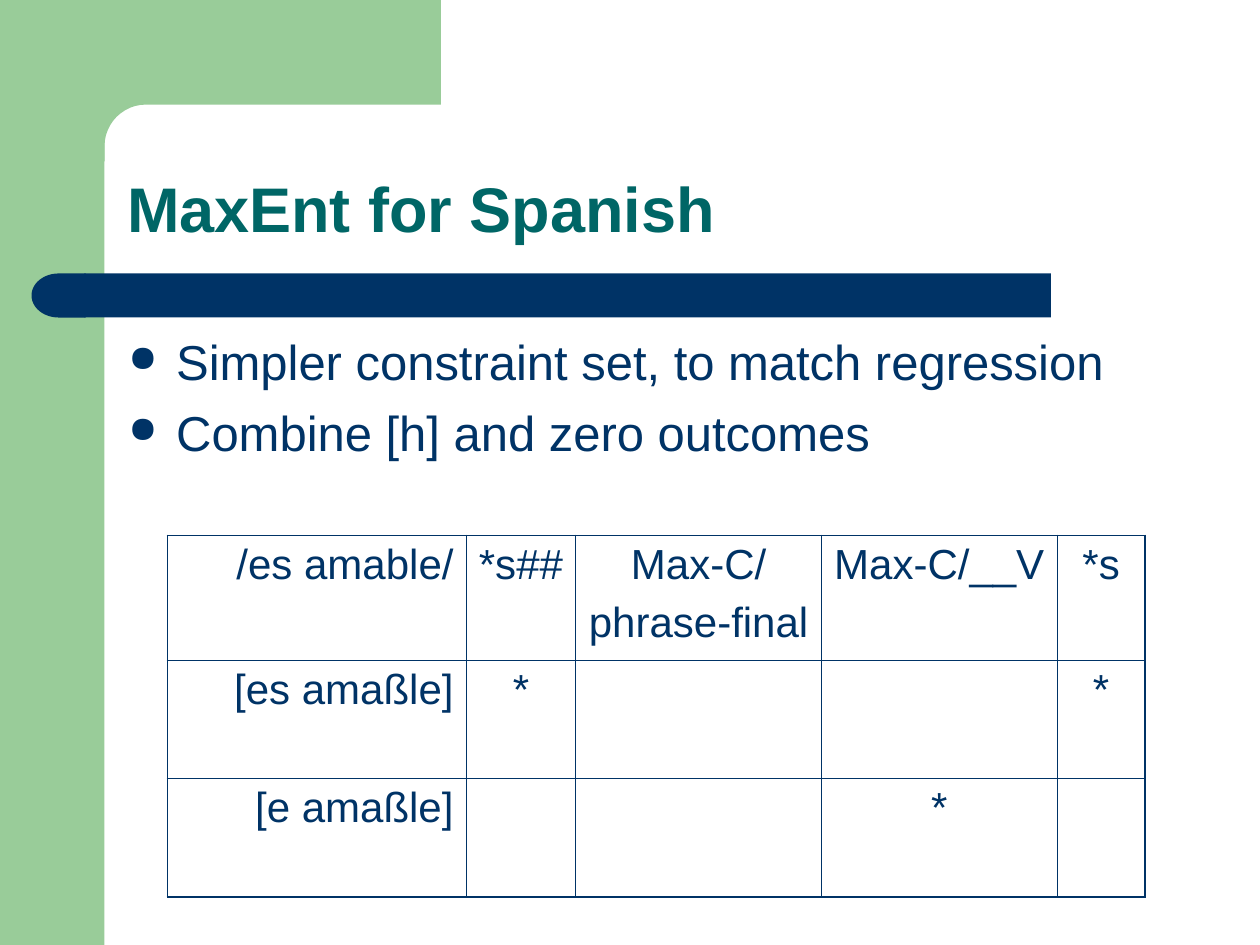
from math import cos, pi, sin

from lxml.etree import SubElement
from pptx import Presentation
from pptx.dml.color import RGBColor
from pptx.enum.shapes import MSO_SHAPE as Preset
from pptx.enum.text import MSO_ANCHOR as Anchor, PP_ALIGN as Align
from pptx.oxml.ns import qn
from pptx.util import Inches, Pt

COLORS = {"green": "99CC99", "navy": "003366", "teal": "006666"}
FONT = "Arial"
THIN, THICK = Pt(0.45), Pt(1.08)

BULLETS = ["Simpler constraint set, to match regression",
           "Combine [h] and zero outcomes"]
TABLEAU = [
    ["/es amable/", "*s##", "Max-C/\nphrase-final", "Max-C/__V", "*s"],
    ["[es amaßle]", "*", "", "", "*"],
    ["[e amaßle]", "", "", "*", ""],
]
COLUMN_WIDTHS = [2.37, 0.87, 1.95, 1.87, 0.7]
ROW_HEIGHTS = [0.99, 0.94, 0.94]


def paint(shape, color):
    shape.shadow.inherit = False
    shape.fill.solid()
    shape.fill.fore_color.rgb = RGBColor.from_string(COLORS[color])
    shape.line.fill.background()


def add_block(slide, preset, color, left, top, width, height):
    shape = slide.shapes.add_shape(
        preset, Inches(left), Inches(top), Inches(width), Inches(height))
    paint(shape, color)
    return shape


def style_font(paragraph, size, color, bold=False):
    font = paragraph.font
    font.name, font.size, font.bold = FONT, Pt(size), bold
    font.color.rgb = RGBColor.from_string(COLORS[color])


def add_text_frame(slide, left, top, width, height):
    box = slide.shapes.add_textbox(
        Inches(left), Inches(top), Inches(width), Inches(height))
    box.text_frame.word_wrap = True
    return box.text_frame


def add_corner(slide, left, top, width, height):
    """Green band along the top whose inner corner is rounded."""
    band, side, radius, steps = 0.83, 0.33, 0.33, 12
    center_x, center_y = left + side + radius, top + band + radius
    arc = [(center_x - radius * sin(step * pi / 2 / steps),
            center_y - radius * cos(step * pi / 2 / steps))
           for step in range(steps + 1)]
    outline = [(left + width, top), (left + width, top + band), *arc,
               (left + side, top + height), (left, top + height)]
    builder = slide.shapes.build_freeform(
        Inches(left), Inches(top), scale=1.0)
    builder.add_line_segments([(Inches(x), Inches(y)) for x, y in outline])
    paint(builder.convert_to_shape(), "green")


def add_divider(slide, left, top, width, height):
    """Navy bar with a rounded left end."""
    cap = 0.43
    add_block(slide, Preset.RECTANGLE, "navy",
              left + cap - 0.01, top, width - cap + 0.01, height)
    end = add_block(slide, Preset.FLOWCHART_DELAY, "navy",
                    left, top, cap, height)
    end.rotation = 180


def add_title(slide, left, top, width, height):
    frame = add_text_frame(slide, left, top, width, height)
    frame.vertical_anchor = Anchor.BOTTOM
    paragraph = frame.paragraphs[0]
    paragraph.text = "MaxEnt for Spanish"
    paragraph.line_spacing = 0.9
    style_font(paragraph, 36, "teal", bold=True)


def add_bullet(paragraph):
    properties = paragraph._p.get_or_add_pPr()
    properties.set("marL", str(Inches(0.38)))
    properties.set("indent", str(Inches(-0.38)))
    color = SubElement(properties, qn("a:buClr"))
    SubElement(color, qn("a:srgbClr"), val=COLORS["navy"])
    SubElement(properties, qn("a:buSzPct"), val="75000")
    SubElement(properties, qn("a:buChar"), char="●")


def add_bullets(slide, left, top, width, height):
    frame = add_text_frame(slide, left, top, width, height)
    frame.text = "\n".join(BULLETS)
    for index, paragraph in enumerate(frame.paragraphs):
        add_bullet(paragraph)
        if index:
            paragraph.space_before = Pt(7)
        style_font(paragraph, 28, "navy")


def set_borders(cell, widths):
    """Draw the left, right, top and bottom borders in that order."""
    properties = cell._tc.get_or_add_tcPr()
    for index, (side, width) in enumerate(zip("LRTB", widths)):
        line = properties.makeelement(qn(f"a:ln{side}"), {"w": str(width)})
        fill = SubElement(line, qn("a:solidFill"))
        SubElement(fill, qn("a:srgbClr"), val=COLORS["navy"])
        properties.insert(index, line)


def add_tableau(slide, left, top):
    last_row, last_column = len(ROW_HEIGHTS) - 1, len(COLUMN_WIDTHS) - 1
    table = slide.shapes.add_table(
        last_row + 1, last_column + 1, Inches(left), Inches(top),
        Inches(sum(COLUMN_WIDTHS)), Inches(sum(ROW_HEIGHTS))).table
    table.first_row = table.horz_banding = False
    for column, width in zip(table.columns, COLUMN_WIDTHS):
        column.width = Inches(width)
    for row, height in zip(table.rows, ROW_HEIGHTS):
        row.height = Inches(height)

    for row, texts in enumerate(TABLEAU):
        for column, text in enumerate(texts):
            cell = table.cell(row, column)
            cell.text = text
            cell.fill.background()
            for index, paragraph in enumerate(cell.text_frame.paragraphs):
                paragraph.alignment = Align.CENTER if column else Align.RIGHT
                if index:
                    paragraph.space_before = Pt(6)
                style_font(paragraph, 24, "navy")
            outer = (column == 0, column == last_column,
                     row == 0, row == last_row)
            set_borders(cell, [THICK if edge else THIN for edge in outer])


def main():
    presentation = Presentation()
    presentation.slide_width = Inches(10)
    presentation.slide_height = Inches(7.5)
    slide = presentation.slides.add_slide(presentation.slide_layouts[6])
    add_block(slide, Preset.RECTANGLE, "green", 0, 0, 0.83, 7.5)
    add_corner(slide, 0.5, 0, 3, 1.28)
    add_divider(slide, 0.25, 2.17, 8.09, 0.35)
    add_title(slide, 0.91, 0.91, 8.51, 1.09)
    add_bullets(slide, 0.92, 2.58, 8.41, 4.07)
    add_tableau(slide, 1.33, 4.25)
    presentation.save("out.pptx")


if __name__ == "__main__":
    main()
